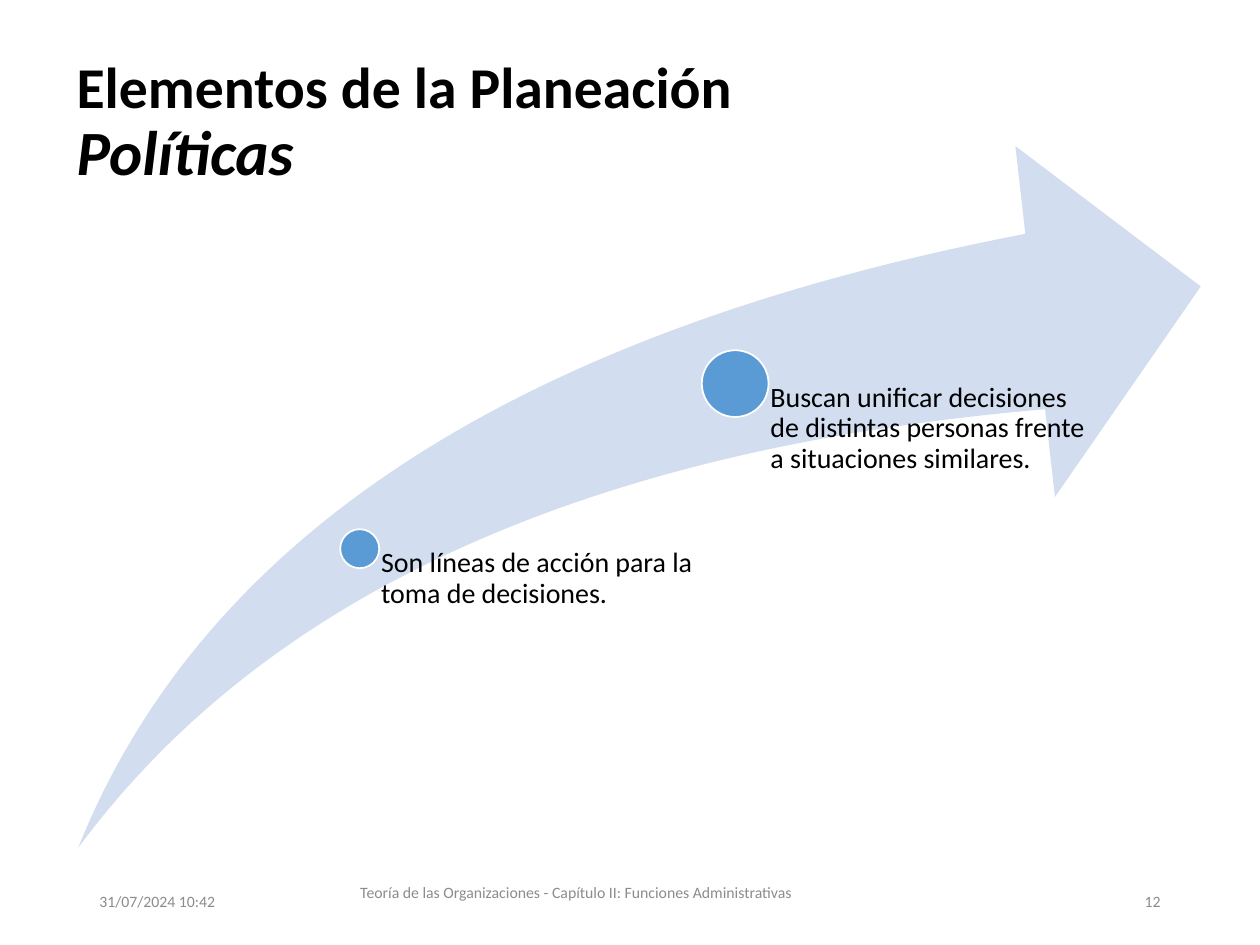
from dataclasses import dataclass

from pptx import Presentation
from pptx import util as u
from pptx.dml.color import RGBColor
from pptx.enum import shapes, text


@dataclass(frozen=True)
class Theme:
    font: str = "Calibri"
    ink: str = "000000"
    muted: str = "8C8C8C"
    arrow: str = "D2DEEF"
    dot: str = "5B9BD5"
    outline: str = "FFFFFF"
    title_size: int = 33
    subtitle_size: int = 36
    body_size: int = 16
    footer_size: int = 9


theme = Theme()
presentation = Presentation()
presentation.slide_width = u.Inches(10)
presentation.slide_height = u.Inches(7.5)
column = presentation.slide_width / 100
row = presentation.slide_height / 75
slide = presentation.slides.add_slide(presentation.slide_layouts[6])


def grid(left, top, width, height):
    return [round(n * unit) for n, unit in zip((left, top, width, height), (column, row) * 2)]


def add_text(lines, box, sizes, color=theme.ink, bold=False, italics=(False, True),
             align=text.PP_ALIGN.LEFT, anchor=text.MSO_ANCHOR.MIDDLE,
             insets=(1, 0.5, 1, 0.5), line_spacing=1.0):
    frame = slide.shapes.add_textbox(*grid(*box)).text_frame
    frame.word_wrap = True
    frame.vertical_anchor = anchor
    frame.margin_left, frame.margin_top, frame.margin_right, frame.margin_bottom = grid(*insets)
    paragraph = frame.paragraphs[0]
    paragraph.alignment = align
    paragraph.line_spacing = line_spacing
    for index, (line, size, italic) in enumerate(zip(lines, sizes, italics)):
        if index:
            paragraph.add_line_break()
        run = paragraph.add_run()
        run.text = line
        run.font.name = theme.font
        run.font.size = u.Pt(size)
        run.font.bold = bold
        run.font.italic = italic
        run.font.color.rgb = RGBColor.from_string(color)


add_text(["Elementos de la Planeación", "Políticas"], (5.1, 3.6, 90, 12.5),
         (theme.title_size, theme.subtitle_size), bold=True, line_spacing=0.9)

arrow = slide.shapes.add_shape(shapes.MSO_SHAPE.SWOOSH_ARROW, *grid(6.2, 11.6, 89.1, 55.7))
arrow.adjustments[0] = arrow.adjustments[1] = 0.25
arrow.shadow.inherit = False
arrow.fill.solid()
arrow.fill.fore_color.rgb = RGBColor.from_string(theme.arrow)
arrow.line.fill.background()

milestones = [
    ("Son líneas de acción para la toma de decisiones.", 27, 42, 3.1, 1.7),
    ("Buscan unificar decisiones de distintas personas frente a situaciones similares.",
     55.7, 27.8, 5.3, 2.8),
]
arrow_bottom = 67.3
for line, left, top, diameter, inset in milestones:
    dot = slide.shapes.add_shape(shapes.MSO_SHAPE.OVAL, *grid(left, top, diameter, diameter))
    dot.shadow.inherit = False
    dot.fill.solid()
    dot.fill.fore_color.rgb = RGBColor.from_string(theme.dot)
    dot.line.color.rgb = RGBColor.from_string(theme.outline)
    dot.line.width = u.Pt(1)
    center_x, center_y = left + diameter / 2, top + diameter / 2
    add_text([line], (center_x, center_y, 28.9, arrow_bottom - center_y), [theme.body_size],
             anchor=text.MSO_ANCHOR.TOP, insets=(inset, 0, 0, 0), line_spacing=0.9)

footers = [
    ("31/07/2024 10:42", (6.9, 69.5, 22.5, 4), text.PP_ALIGN.LEFT),
    ("Teoría de las Organizaciones - Capítulo II: Funciones Administrativas",
     (20.3, 68.3, 50.8, 5), text.PP_ALIGN.CENTER),
    ("12", (70.6, 69.5, 22.5, 4), text.PP_ALIGN.RIGHT),
]
for line, box, align in footers:
    add_text([line], box, [theme.footer_size], color=theme.muted, align=align)

presentation.save("out.pptx")
